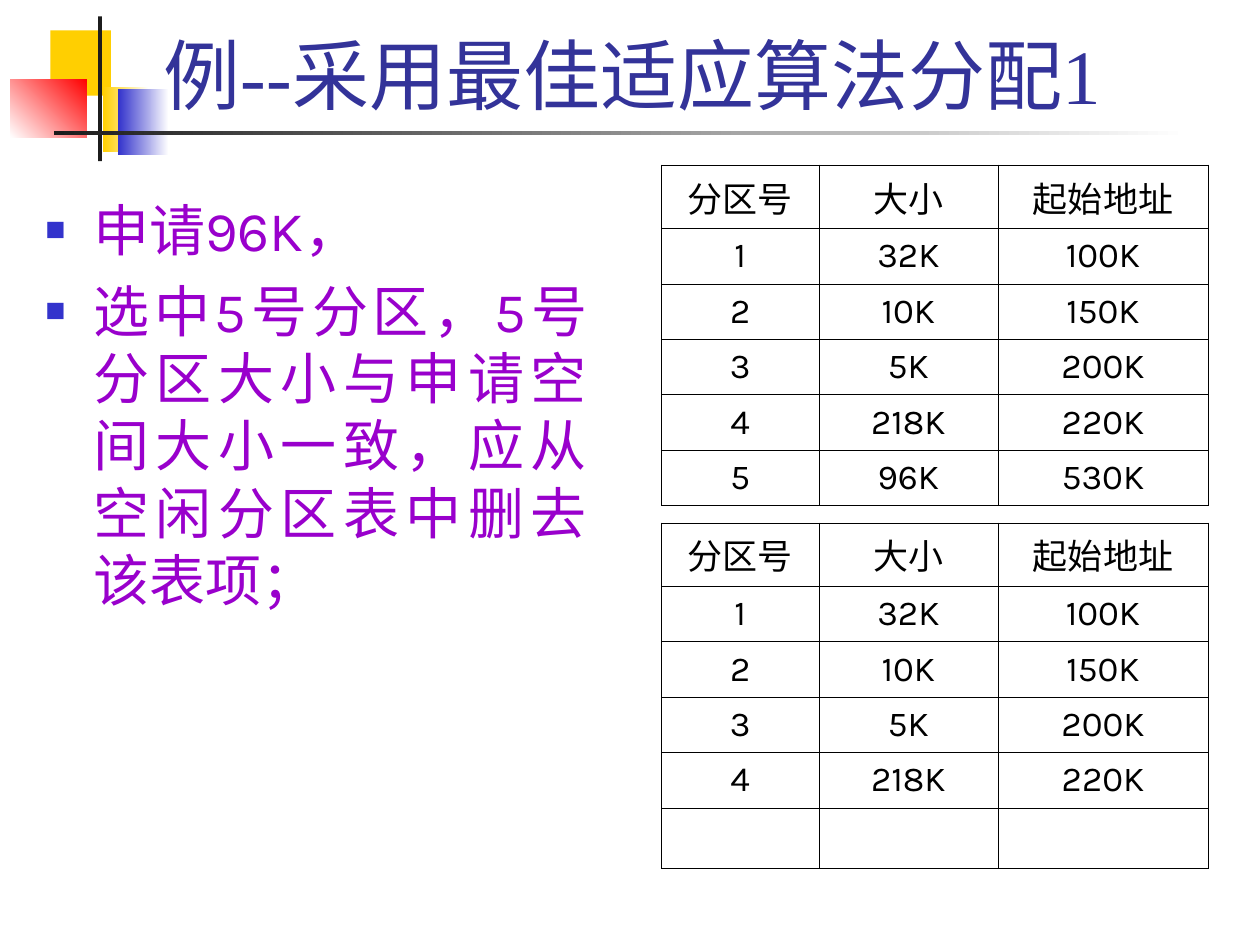
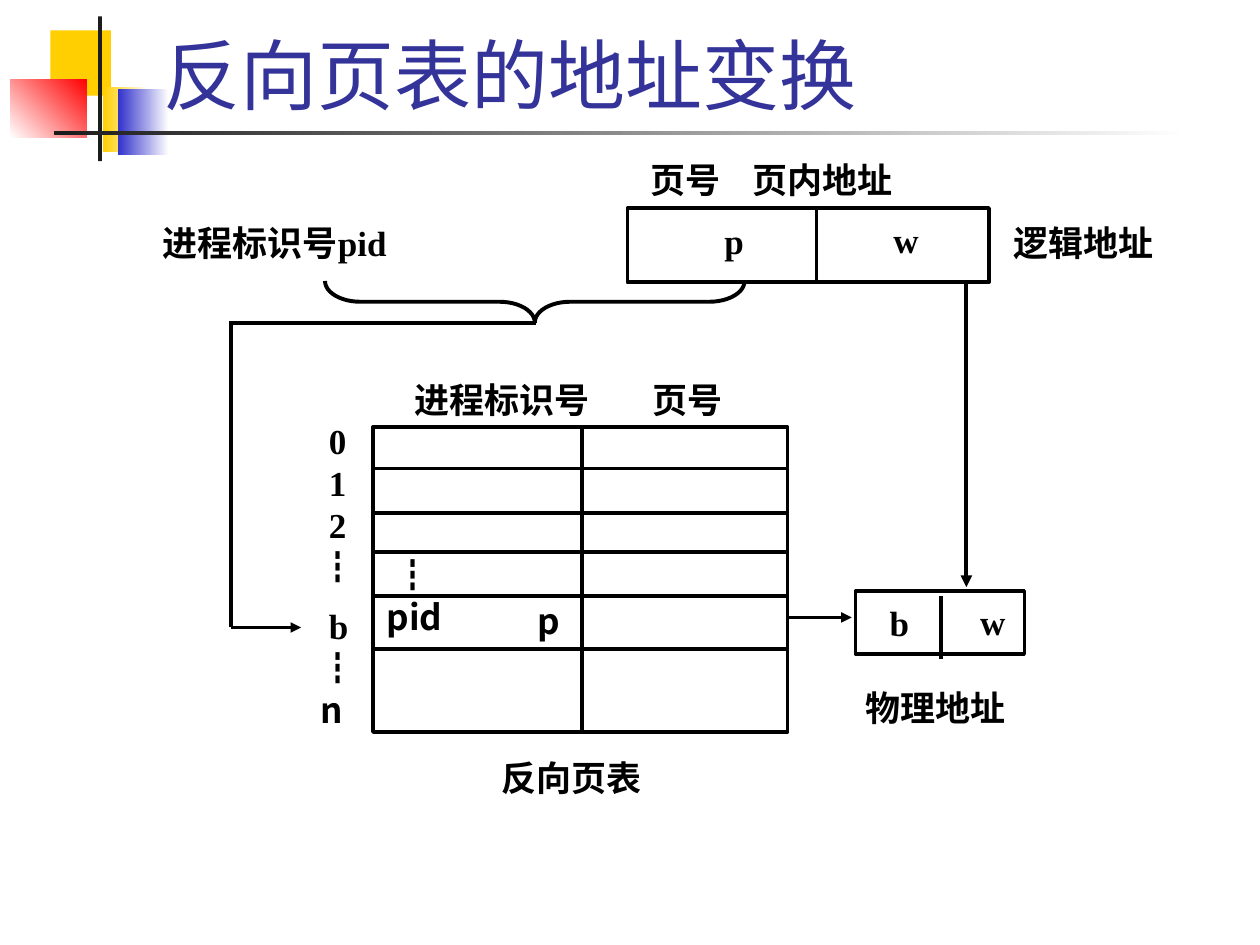
"""Build two memory-management slides: best-fit allocation and inverted page table."""
from lxml import etree
from pptx import Presentation
from pptx.dml.color import RGBColor
from pptx.enum.shapes import MSO_CONNECTOR, MSO_SHAPE
from pptx.enum.text import MSO_ANCHOR, MSO_AUTO_SIZE, PP_ALIGN
from pptx.oxml.ns import qn
from pptx.util import Inches, Pt

RECT, BRACE = MSO_SHAPE.RECTANGLE, MSO_SHAPE.LEFT_BRACE
STRAIGHT = MSO_CONNECTOR.STRAIGHT
TOP, MIDDLE, BOTTOM = MSO_ANCHOR.TOP, MSO_ANCHOR.MIDDLE, MSO_ANCHOR.BOTTOM
LEFT, CENTER, JUSTIFY = PP_ALIGN.LEFT, PP_ALIGN.CENTER, PP_ALIGN.JUSTIFY

THEME = {
    "title": "333399", "body": "9900CC", "ink": "000000", "paper": "FFFFFF",
    "dark": "1C1C1C", "yellow": "FFCF01", "blue": "3333CC", "red": "FF0000",
    "serif": "Times New Roman", "sans": "Karla", "cjk": "Noto Sans CJK SC",
    "title_size": 44, "body_size": 32, "text_size": 20,
}
SERIF, SANS, CJK = THEME["serif"], THEME["sans"], THEME["cjk"]
PAD = (0.1, 0.05, 0.1, 0.05)


def write(tf, paras, size=THEME["text_size"], color="ink", bold=False, align=LEFT,
          anchor=TOP, inset=(0, 0, 0, 0), line=1.2):
    """Fill a text frame with paragraphs given as (runs, options)."""
    sides = zip(("left", "top", "right", "bottom"), inset)
    frame = {f"margin_{side}": Inches(gap) for side, gap in sides}
    frame.update(word_wrap=True, auto_size=MSO_AUTO_SIZE.NONE, vertical_anchor=anchor)
    for name, value in frame.items():
        setattr(tf, name, value)
    for i, (runs, opts) in enumerate(paras):
        p = tf.paragraphs[0] if i == 0 else tf.add_paragraph()
        layout = {"alignment": align, "space_before": Pt(opts.get("before", 0)),
                  "line_spacing": Pt(size * line) if line else None}
        for name, value in layout.items():
            setattr(p, name, value)
        pPr = p._p.get_or_add_pPr()
        hang = opts.get("hang", 0)
        pPr.set("marL", str(Inches(opts.get("indent", hang))))
        pPr.set("indent", str(-Inches(hang)))
        if "bullet" in opts:
            clr = etree.SubElement(pPr, qn("a:buClr"))
            etree.SubElement(clr, qn("a:srgbClr"), val=THEME["blue"])
            etree.SubElement(pPr, qn("a:buSzPct"), val="60000")
            etree.SubElement(pPr, qn("a:buChar"), char=opts["bullet"])
        for text, font in runs:
            r = p.add_run()
            r.text = text
            for name, value in {"size": Pt(size), "bold": bold, "name": font}.items():
                setattr(r.font, name, value)
            r.font.color.rgb = RGBColor.from_string(THEME[color])
            etree.SubElement(r._r.get_or_add_rPr(), qn("a:ea"), typeface=CJK)


def add_line(s, x1, y1, x2, y2, width=2, arrow=False):
    """Draw a straight black line, with an arrowhead at its end if asked."""
    c = s.shapes.add_connector(STRAIGHT, *map(Inches, (x1, y1, x2, y2)))
    c.line.width = Pt(width)
    c.line.color.rgb = RGBColor.from_string(THEME["ink"])
    if arrow:
        etree.SubElement(c.line._get_or_add_ln(), qn("a:tailEnd"), type="triangle")
    etree.SubElement(c.element.spPr, qn("a:effectLst"))


prs = Presentation()
prs.slide_width, prs.slide_height = Inches(10), Inches(7.5)
alloc = prs.slides.add_slide(prs.slide_layouts[1])
paging = prs.slides.add_slide(prs.slide_layouts[5])

decor = [
    ((0.4, 0.24, 0.48, 0.52), ("yellow",), 0),
    ((0.82, 0.69, 0.36, 0.52), ("paper", "yellow"), 180),
    ((0.94, 0.71, 0.4, 0.52), ("paper", "blue"), 180),
    ((0.08, 0.63, 0.61, 0.46), ("red", "paper"), 225),
    ((0.78, 0.13, 0.03, 1.15), ("dark",), 0),
    ((0.43, 1.04, 9, 0.03), ("paper", "dark"), 180),
]
master_tree = prs.slide_master.shapes.element
for i, (box, colors, angle) in enumerate(decor):
    sp = alloc.shapes.add_shape(RECT, *map(Inches, box))
    sp.shadow.inherit = False
    sp.line.fill.background()
    if len(colors) == 1:
        sp.fill.solid()
        sp.fill.fore_color.rgb = RGBColor.from_string(THEME[colors[0]])
    else:
        sp.fill.gradient()
        sp.fill.gradient_angle = angle
        for stop, color in zip(sp.fill.gradient_stops, colors):
            stop.color.rgb = RGBColor.from_string(THEME[color])
    sp.element.xpath(".//p:cNvPr")[0].set("id", str(20 + i))
    master_tree.insert(2 + i, sp.element)

for s, text, font in ((alloc, "例--采用最佳适应算法分配1", SERIF),
                      (paging, "反向页表的地址变换", SANS)):
    sp = s.shapes.title
    sp.left, sp.top, sp.width, sp.height = map(Inches, (1.2, 0.17, 8.52, 0.83))
    write(sp.text_frame, [([(text, font)], {})], size=THEME["title_size"],
          color="title", anchor=BOTTOM, inset=PAD)

sp = alloc.placeholders[1]
sp.left, sp.top, sp.width, sp.height = map(Inches, (0.26, 1.5, 4.5, 5.39))
item = {"bullet": "■", "hang": 0.38}
write(sp.text_frame, [
    ([("申请", SERIF), ("96K", SANS), ("，", SERIF)], item),
    ([("选中", SERIF), ("5", SANS), ("号分区，", SERIF), ("5", SANS),
      ("号分区大小与申请空间大小一致，应从空闲分区表中删去该表项；", SERIF)],
     {**item, "before": 8}),
], size=THEME["body_size"], color="body", align=JUSTIFY, inset=PAD)

header = ("分区号", "大小", "起始地址")
parts = [("1", "32K", "100K"), ("2", "10K", "150K"), ("3", "5K", "200K"),
         ("4", "218K", "220K"), ("5", "96K", "530K")]
for top, rows, last in ((1.31, [header, *parts], 0.44),
                        (4.15, [header, *parts[:4], ("", "", "")], 0.48)):
    heights = [0.5] + [0.44] * 4 + [last]
    table = alloc.shapes.add_table(6, 3, Inches(5.25), Inches(top), Inches(4.34),
                                   Inches(sum(heights))).table
    table.first_row = table.horz_banding = False
    for col, width in zip(table.columns, (1.25, 1.42, 1.67)):
        col.width = Inches(width)
    for row, height, values in zip(table.rows, heights, rows):
        row.height = Inches(height)
        for cell, value in zip(row.cells, values):
            cell.fill.background()
            tcPr = cell._tc.get_or_add_tcPr()
            for i, side in enumerate(("lnL", "lnR", "lnT", "lnB")):
                ln = etree.Element(qn(f"a:{side}"), w=str(Pt(0.45)))
                fill = etree.SubElement(ln, qn("a:solidFill"))
                etree.SubElement(fill, qn("a:srgbClr"), val=THEME["ink"])
                tcPr.insert(i, ln)
            for side, gap in zip(("left", "top", "right", "bottom"), PAD):
                setattr(cell, f"margin_{side}", Inches(gap))
            cell.vertical_anchor = MIDDLE
            if value:
                write(cell.text_frame, [([(value, SANS)], {})], align=CENTER,
                      anchor=None, inset=PAD, line=None)

add_line(paging, 6.21, 4.9, 6.76, 4.9, arrow=True)
page_rows = [([("┇", CJK)], {"indent": 0.18}), ([("pid", CJK)], {"indent": 0.11})]
boxes = [
    ((6.79, 4.69, 1.34, 0.5), [([("b", SERIF)], {"indent": 0.27})], 0.08),
    ((4.98, 1.65, 2.87, 0.59), [([("p", SERIF)], {"indent": 0.77})], 0.09),
    ((2.96, 3.39, 3.29, 2.42), page_rows, 1),
]
for box, paras, inset_top in boxes:
    sp = paging.shapes.add_shape(RECT, *map(Inches, box))
    sp.shadow.inherit = False
    sp.fill.solid()
    sp.fill.fore_color.rgb = RGBColor.from_string(THEME["paper"])
    sp.line.color.rgb = RGBColor.from_string(THEME["ink"])
    sp.line.width = Pt(2)
    write(sp.text_frame, paras, bold=True, inset=(0, inset_top, 0, 0))

labels = [
    ((8.04, 1.73, 1.3, 0.36), "逻辑地址", SERIF),
    ((3.29, 2.98, 1.6, 0.36), "进程标识号", SERIF),
    ((5.18, 2.98, 0.7, 0.36), "页号", SERIF),
    ((3.98, 5.98, 1.31, 0.36), "反向页表", SERIF),
    ((6.87, 5.42, 1.3, 0.36), "物理地址", SERIF),
    ((5.16, 1.23, 0.7, 0.36), "页号", CJK),
    ((5.97, 1.23, 1.3, 0.36), "页内地址", CJK),
    ((1.29, 1.73, 2.1, 0.36), "进程标识号pid", SERIF),
    ((7.09, 1.71, 0.3, 0.36), "w", SERIF),
    ((7.78, 4.74, 0.3, 0.36), "w", SERIF),
    ((4.27, 4.73, 0.3, 0.36), "p", CJK),
]
for box, text, font in labels:
    sp = paging.shapes.add_textbox(*map(Inches, box))
    write(sp.text_frame, [([(text, font)], {})], bold=True, line=1.3)

sp = paging.shapes.add_textbox(*map(Inches, (2.54, 3.33, 0.25, 2.55)))
digit = {"indent": 0.07}
write(sp.text_frame, [
    *(([(n, SERIF)], digit) for n in "012"),
    ([("┇", CJK)], {}),
    ([("b", SERIF)], {**digit, "before": 9.6}),
    ([("┇", CJK)], {}),
    ([("n", CJK)], {}),
], bold=True)

for y in (3.72, 4.07, 4.38, 4.73, 5.15):
    add_line(paging, 2.96, y, 6.25, y)
add_line(paging, 4.62, 3.38, 4.62, 5.8, 2.25)
add_line(paging, 6.48, 1.65, 6.48, 2.24)
add_line(paging, 7.47, 4.73, 7.47, 5.23)

sp = paging.shapes.add_shape(BRACE, *map(Inches, (4.08, 0.73, 0.33, 3.33)))
sp.shadow.inherit = False
sp.rotation = 270
sp.adjustments[0] = 0.85
sp.fill.background()
sp.line.color.rgb = RGBColor.from_string(THEME["ink"])
sp.line.width = Pt(2.25)
add_line(paging, 4.25, 2.56, 1.83, 2.56, 2.25)
add_line(paging, 1.83, 2.55, 1.83, 4.98, 2.25)
add_line(paging, 1.83, 4.98, 2.39, 4.98, arrow=True)
add_line(paging, 7.67, 2.23, 7.67, 4.66, 2.25, arrow=True)

prs.save("out.pptx")
